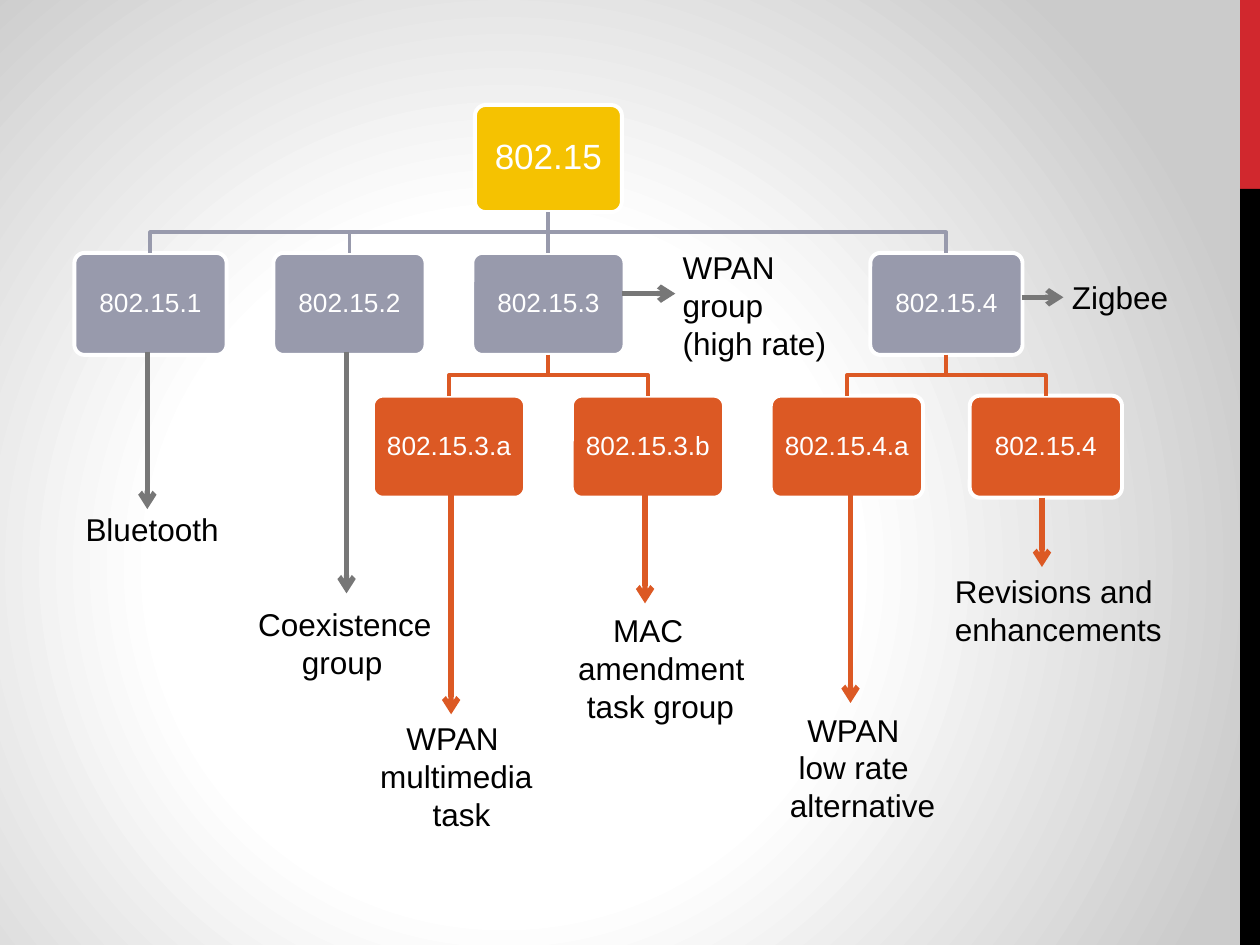
from pptx import Presentation
from pptx.dml.color import RGBColor
from pptx.enum.dml import MSO_LINE
from pptx.enum.shapes import MSO_CONNECTOR, MSO_SHAPE
from pptx.enum.text import MSO_ANCHOR, PP_ALIGN
from pptx.oxml import parse_xml
from pptx.oxml.ns import nsdecls, qn
from pptx.util import Pt
from lxml.etree import SubElement

GOLD, GRAY, RUST, DARK = "F5C201", "989AAC", "DC5924", "777777"
NODE_W, NODE_H, STEP = 87, 58.3, 113.7
ROOT_W, ROOT_H, GAP = 84, 61.2, 23.3

BRANCHES = [
    ("802.15.1", 0, []),
    ("802.15.2", 1, []),
    ("802.15.3", 2, ["802.15.3.a", "802.15.3.b"]),
    ("802.15.4", 4, ["802.15.4.a", "802.15.4"]),
]

# label box, (first-line indent, text), arrow start from the box, arrow run, colour
NOTES = [
    ((41.8, 288, 108, 28.8), [(0, "Bluetooth")], (42.4, -87.1), (0, 90), DARK),
    ((140.4, 342, 120.2, 51), [(0, "Coexistence"), (25, "group")],
     (57.6, -141.1), (0, 138.2), DARK),
    ((210.2, 407.5, 120.2, 72.7), [(15, "WPAN multimedia"), (30, "task")],
     (47.6, -125.3), (0, 126), RUST),
    ((323.3, 345.6, 113.8, 72.7), [(20, "MAC amendment"), (5, "task group")],
     (45.3, -63.4), (0, 62.6), RUST),
    ((383, 138.2, 103, 72.7), [(0, "WPAN group"), (0, "(high rate)")],
     (-27.3, 29.6), (30.2, 0), DARK),
    ((605.5, 155.5, 91.4, 28.8), [(0, "Zigbee")], (-21.6, 14.4), (23.8, 0), DARK),
    ((434.2, 402.5, 135.4, 72.7),
     [(20, "WPAN"), (15, "low rate"), (10, "alternative")],
     (51.8, -120.3), (0, 119.5), RUST),
    ((538.6, 323.3, 156.2, 51), [(0, "Revisions and enhancements")],
     (56.8, -38.9), (0, 39.6), RUST),
]


def tint(code):
    return RGBColor.from_string(code)


def apply(item, values):
    for name, value in values.items():
        setattr(item, name, value)


def style(font, size, color):
    apply(font, {"name": "Arial", "size": Pt(size)})
    font.color.rgb = tint(color)


def stroke(line, color, width):
    apply(line, {"width": Pt(width), "dash_style": MSO_LINE.SOLID})
    line.color.rgb = tint(color)


def block(slide, kind, box, color):
    shape = slide.shapes.add_shape(kind, *map(Pt, box))
    shape.shadow.inherit = False
    shape.fill.solid()
    shape.fill.fore_color.rgb = tint(color)
    shape.line.fill.background()
    return shape


def wire(slide, start, end, color, width):
    line = slide.shapes.add_connector(
        MSO_CONNECTOR.STRAIGHT, *map(Pt, (*start, *end)))
    stroke(line.line, color, width)
    SubElement(line.element.spPr, qn("a:effectLst"))
    return line


def backdrop(slide):
    slide.background.fill.solid()
    props = slide.background.fill._xPr
    props.replace(props[0], parse_xml(
        f'<a:gradFill {nsdecls("a")} rotWithShape="1"><a:gsLst>'
        '<a:gs pos="0"><a:srgbClr val="FFFFFF"/></a:gs>'
        '<a:gs pos="44000"><a:srgbClr val="FFFFFF"/></a:gs>'
        '<a:gs pos="100000"><a:srgbClr val="CBCBCB"/></a:gs></a:gsLst>'
        '<a:path path="circle"><a:fillToRect l="40000" t="60000" '
        'r="60000" b="40000"/></a:path></a:gradFill>'))


def stripe(slide, left, top, width, height):
    cut = height / 5
    block(slide, MSO_SHAPE.RECTANGLE, (left, top, width, cut), "D1282E")
    block(slide, MSO_SHAPE.RECTANGLE, (left, top + cut, width, height - cut), "000000")


def node(slide, text, box, color, size):
    shape = block(slide, MSO_SHAPE.ROUNDED_RECTANGLE, box, color)
    shape.adjustments[0] = 0.1
    stroke(shape.line, "FFFFFF", 2.25)
    frame = shape.text_frame
    apply(frame, {"word_wrap": True, "vertical_anchor": MSO_ANCHOR.MIDDLE,
                  "margin_left": Pt(4), "margin_right": Pt(4),
                  "margin_top": Pt(4), "margin_bottom": Pt(4)})
    para = frame.paragraphs[0]
    apply(para, {"text": text, "alignment": PP_ALIGN.CENTER, "line_spacing": 0.9})
    style(para.font, size, "FFFFFF")
    return shape


def link(slide, upper, lower, color):
    x, y = upper.left + upper.width // 2, upper.top + upper.height
    end = lower.left + lower.width // 2
    if abs(x - end) < Pt(1):
        line = wire(slide, (0, 0), (1, 1), color, 2.25)
        line.begin_connect(upper, 2)
        line.end_connect(lower, 0)
        return
    mid = (y + lower.top) // 2
    path = slide.shapes.build_freeform(x, y)
    path.add_line_segments([(x, mid), (end, mid), (end, lower.top)], close=False)
    elbow = path.convert_to_shape()
    elbow.shadow.inherit = False
    elbow.fill.background()
    stroke(elbow.line, color, 2.25)


def tree(slide, left, top):
    x = left + 2 * STEP + (NODE_W - ROOT_W) / 2
    root = node(slide, "802.15", (x, top, ROOT_W, ROOT_H), GOLD, 20)
    row = top + ROOT_H + GAP
    for text, slot, leaves in BRANCHES:
        x = left + slot * STEP
        branch = node(slide, text, (x, row, NODE_W, NODE_H), GRAY, 15)
        link(slide, root, branch, GRAY)
        for i, name in enumerate(leaves):
            box = (x + (i - 0.5) * STEP, row + NODE_H + GAP, NODE_W, NODE_H)
            leaf = node(slide, name, box, RUST, 15)
            link(slide, branch, leaf, RUST)


def note(slide, box, lines, start, run, color):
    x, y = box[0] + start[0], box[1] + start[1]
    arrow = wire(slide, (x, y), (x + run[0], y + run[1]), color, 3)
    SubElement(arrow.line._get_or_add_ln(), qn("a:tailEnd"), type="arrow")
    frame = slide.shapes.add_textbox(*map(Pt, box)).text_frame
    frame.word_wrap = True
    for i, (indent, text) in enumerate(lines):
        para = frame.add_paragraph() if i else frame.paragraphs[0]
        para.text = text
        style(para.runs[0].font, 18, "000000")
        para._p.get_or_add_pPr().set("indent", str(Pt(indent)))


def main():
    deck = Presentation()
    apply(deck, {"slide_width": Pt(720), "slide_height": Pt(540)})
    slide = deck.slides.add_slide(deck.slide_layouts[6])
    backdrop(slide)
    stripe(slide, 708.7, 0, 11.3, 540)
    tree(slide, 42.5, 60)
    for item in NOTES:
        note(slide, *item)
    deck.save("out.pptx")


if __name__ == "__main__":
    main()
